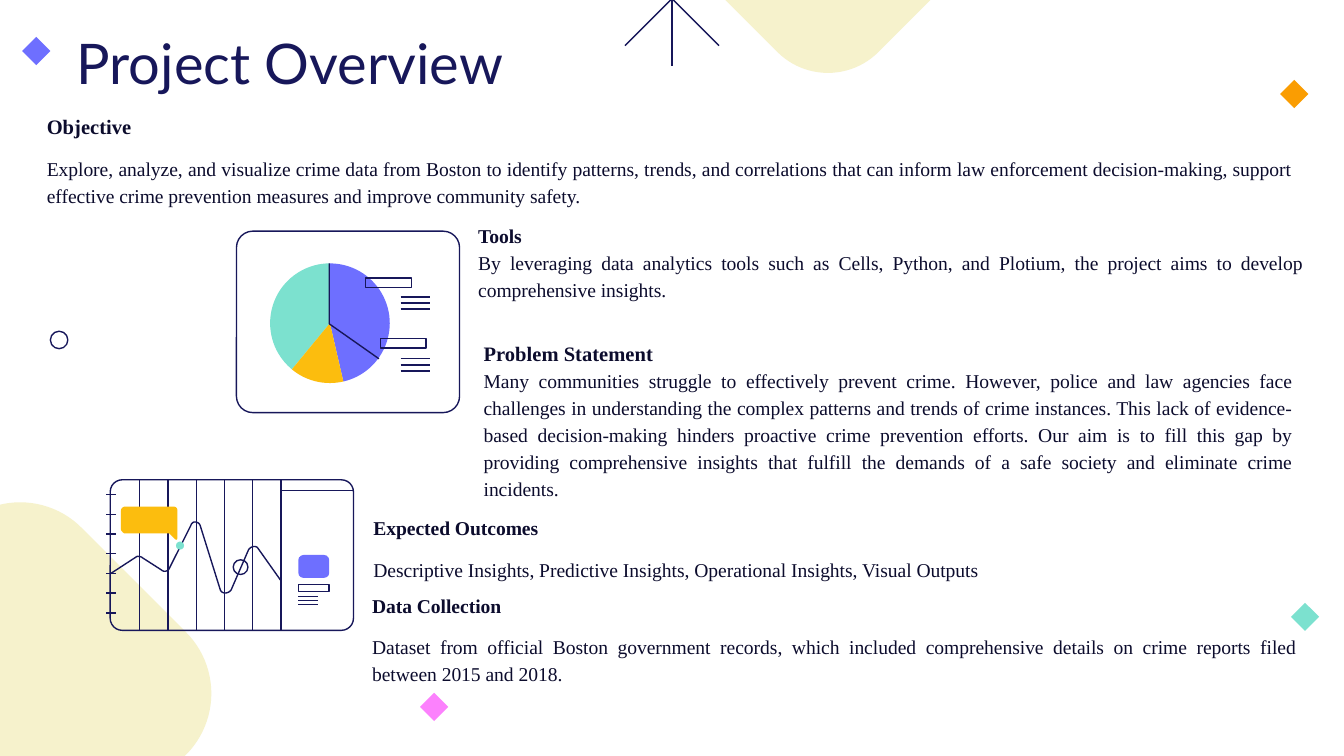
"""Build the Project Overview slide with its text sections and dashboard illustrations."""
from lxml.etree import SubElement
from pptx import Presentation
from pptx.dml.color import RGBColor
from pptx.enum.shapes import MSO_CONNECTOR, MSO_SHAPE
from pptx.enum.text import MSO_ANCHOR, MSO_AUTO_SIZE, PP_ALIGN
from pptx.oxml.ns import qn
from pptx.util import Inches, Pt

NAVY, INK, CREAM = "17175A", "0C0C2D", "F6F2CC"
TEAL, ORANGE, PINK, VIOLET, YELLOW = "7CE1CF", "FA9D02", "FC81FD", "6E6FFF", "FCBD0E"

TITLE = "Project Overview"
SECTIONS = [
    ("Objective",
     "Explore, analyze, and visualize crime data from Boston to identify patterns, trends, and "
     "correlations that can inform law enforcement decision-making, support effective crime "
     "prevention measures and improve community safety.",
     (0.25, 0.72, 9.47, 0.82), 11, 8, PP_ALIGN.JUSTIFY),
    ("Tools",
     "By leveraging data analytics tools such as Cells, Python, and Plotium, the project aims "
     "to develop comprehensive insights.",
     (3.46, 1.54, 6.34, 0.63), 10.5, 0, PP_ALIGN.JUSTIFY),
    ("Problem Statement",
     "Many communities struggle to effectively prevent crime. However, police and law agencies "
     "face challenges in understanding the complex patterns and trends of crime instances. This "
     "lack of evidence-based decision-making hinders proactive crime prevention efforts. Our aim "
     "is to fill this gap by providing comprehensive insights that fulfill the demands of a safe "
     "society and eliminate crime incidents.",
     (3.5, 2.41, 6.22, 1.5), 11, 0, PP_ALIGN.JUSTIFY),
    ("Expected Outcomes",
     "Descriptive Insights, Predictive Insights, Operational Insights, Visual Outputs",
     (2.68, 3.71, 7.7, 0.71), 10.5, 8, PP_ALIGN.LEFT),
    ("Data Collection",
     "Dataset from official Boston government records, which included comprehensive details on "
     "crime reports filed between 2015 and 2018.",
     (2.67, 4.29, 7.08, 0.71), 10.5, 8, PP_ALIGN.JUSTIFY),
]
BLOBS = [(0.15, 5.16, 2.39), (6.16, -0.63, 1.97)]
DIAMONDS = [(9.71, 4.59, TEAL), (9.63, 0.7, ORANGE), (3.23, 5.26, PINK), (0.27, 0.38, VIOLET)]
ARROW = [(5, -0.5, 5, 0.49), (5.35, -0.36, 4.65, 0.34), (5.35, 0.34, 4.65, -0.36)]
PIE_SLICES = [(129.5, 270, TEAL), (270, 77, VIOLET), (77, 129.5, YELLOW)]
LEGENDS = [(2.72, 2.07, 2.21), (2.83, 2.52, 2.67)]
TREND = [(0.82, 4.27), (1.02, 4.14), (1.03, 4.14, 1.05, 4.14, 1.06, 4.15), (1.2, 4.24),
         (1.22, 4.26, 1.25, 4.25, 1.26, 4.23), (1.42, 3.91), (1.43, 3.87, 1.48, 3.88, 1.49, 3.91),
         (1.64, 4.39), (1.65, 4.42, 1.7, 4.42, 1.72, 4.39), (1.85, 4.09),
         (1.87, 4.06, 1.91, 4.06, 1.92, 4.08), (2.09, 4.32)]
CALLOUT = [(1.3, 4.01), (1.26, 3.97), (0.93, 3.97), (0.92, 3.97, 0.9, 3.95, 0.9, 3.94),
           (0.9, 3.8), (0.9, 3.78, 0.92, 3.77, 0.93, 3.77), (1.29, 3.77),
           (1.31, 3.77, 1.32, 3.78, 1.32, 3.8), (1.32, 4), (1.32, 4.02, 1.31, 4.02, 1.3, 4.01)]


def rgb(value):
    return RGBColor.from_string(value)


def paint(shape, fill=None, line=None):
    shape.shadow.inherit = False
    if fill:
        shape.fill.solid()
        shape.fill.fore_color.rgb = rgb(fill)
    else:
        shape.fill.background()
    if line:
        shape.line.color.rgb = rgb(line)
        shape.line.width = Pt(0.75)
    else:
        shape.line.fill.background()
    return shape


def add_preset(slide, preset, box, fill=None, line=None, adjustments=()):
    shape = slide.shapes.add_shape(preset, *map(Inches, box))
    for index, value in enumerate(adjustments):
        shape.adjustments[index] = value
    return paint(shape, fill, line)


def add_centred(slide, preset, x, y, size, **style):
    return add_preset(slide, preset, (x - size / 2, y - size / 2, size, size), **style)


def add_line(slide, *ends):
    line = slide.shapes.add_connector(MSO_CONNECTOR.STRAIGHT, *map(Inches, ends))
    line.line.color.rgb = rgb(NAVY)
    line.line.width = Pt(0.75)
    SubElement(line._element.spPr, qn("a:effectLst"))


def flatten(steps, pieces=8):
    points = [steps[0]]
    for step in steps[1:]:
        if len(step) == 2:
            points.append(step)
            continue
        controls = [points[-1], step[:2], step[2:4], step[4:]]
        for piece in range(1, pieces + 1):
            t = piece / pieces
            weights = ((1 - t) ** 3, 3 * t * (1 - t) ** 2, 3 * t * t * (1 - t), t ** 3)
            points.append(tuple(sum(w * c[axis] for w, c in zip(weights, controls))
                                for axis in (0, 1)))
    return points


def add_outline(slide, steps, close=False, **style):
    points = [(Inches(x), Inches(y)) for x, y in flatten(steps)]
    builder = slide.shapes.build_freeform(*points[0])
    builder.add_line_segments(points[1:], close=close)
    paint(builder.convert_to_shape(), **style)


def add_text(paragraph, text, font, size, color, bold=False):
    run = paragraph.add_run()
    run.text = text
    run.font.name, run.font.size, run.font.bold = font, Pt(size), bold
    run.font.color.rgb = rgb(color)


def set_frame(frame):
    frame.word_wrap = True
    frame.auto_size = MSO_AUTO_SIZE.NONE
    frame.vertical_anchor = MSO_ANCHOR.TOP
    frame.margin_left = frame.margin_right = frame.margin_top = frame.margin_bottom = Inches(0.1)


def add_section(slide, heading, body, box, heading_size, gap, align):
    frame = slide.shapes.add_textbox(*map(Inches, box)).text_frame
    set_frame(frame)
    for paragraph, text, size, bold in ((frame.paragraphs[0], heading, heading_size, True),
                                        (frame.add_paragraph(), body, 10.5, False)):
        paragraph.alignment = align
        paragraph.line_spacing = 1.15
        paragraph.space_after = Pt(gap)
        add_text(paragraph, text, "Times New Roman", size, INK, bold)


def add_decoration(slide):
    for x, y, side in BLOBS:
        add_centred(slide, MSO_SHAPE.ROUNDED_RECTANGLE, x, y, side,
                    fill=CREAM, adjustments=[0.27]).rotation = 45
    for x, y, color in DIAMONDS:
        add_centred(slide, MSO_SHAPE.DIAMOND, x, y, 0.21, fill=color)
    add_centred(slide, MSO_SHAPE.OVAL, 0.44, 2.53, 0.13, line=NAVY)
    for ends in ARROW:
        add_line(slide, *ends)


def add_trend_panel(slide):
    left, top, right, bottom, split = 0.82, 3.57, 2.63, 4.69, 2.09
    add_preset(slide, MSO_SHAPE.ROUNDED_RECTANGLE, (left, top, right - left, bottom - top),
               line=NAVY, adjustments=[0.08])
    add_preset(slide, MSO_SHAPE.RECTANGLE, (2.22, 4.35, 0.23, 0.05), line=NAVY)
    add_preset(slide, MSO_SHAPE.ROUNDED_RECTANGLE, (2.22, 4.13, 0.23, 0.17),
               fill=VIOLET, adjustments=[0.22])
    for row in range(3):
        y = 4.44 + 0.03 * row
        add_line(slide, 2.22, y, 2.37, y)
    for column in range(6):
        x = split - 0.21 * column
        add_line(slide, x, top, x, bottom)
    add_outline(slide, TREND, line=NAVY)
    add_centred(slide, MSO_SHAPE.OVAL, 1.34, 4.06, 0.06, fill=TEAL)
    add_outline(slide, CALLOUT, close=True, fill=YELLOW)
    first_tick, last_tick, ticks = 3.68, 4.56, 7
    for tick in range(ticks):
        y = first_tick + (last_tick - first_tick) * tick / (ticks - 1)
        add_line(slide, 0.79, y, 0.86, y)
    add_centred(slide, MSO_SHAPE.OVAL, 1.79, 4.22, 0.11, line=NAVY)
    add_line(slide, split, 3.65, right, 3.65)


def add_pie_panel(slide):
    add_preset(slide, MSO_SHAPE.ROUNDED_RECTANGLE, (1.76, 1.72, 1.66, 1.35),
               line=NAVY, adjustments=[0.09])
    for start, end, color in PIE_SLICES:
        add_preset(slide, MSO_SHAPE.PIE, (2.01, 1.96, 0.89, 0.89), fill=color,
                   adjustments=[start * 0.6, end * 0.6])
    add_outline(slide, [(2.45, 1.96), (2.45, 2.41), (2.82, 2.67)], line=NAVY)
    for x, y, first_row in LEGENDS:
        add_preset(slide, MSO_SHAPE.RECTANGLE, (x, y, 0.34, 0.07), line=NAVY)
        for row in range(3):
            row_y = first_row + 0.09 * row / 2
            add_line(slide, 2.98, row_y, 3.2, row_y)


def main():
    deck = Presentation()
    deck.slide_width, deck.slide_height = Inches(10), Inches(10 * 9 / 16)
    slide = deck.slides.add_slide(deck.slide_layouts[5])
    add_decoration(slide)
    title = slide.shapes.title
    title.left, title.top, title.width, title.height = map(Inches, (0.47, 0.11, 8.43, 0.63))
    set_frame(title.text_frame)
    heading = title.text_frame.paragraphs[0]
    heading.alignment = PP_ALIGN.LEFT
    add_text(heading, TITLE, "Lato", 30, NAVY)
    for section in SECTIONS:
        add_section(slide, *section)
    add_trend_panel(slide)
    add_pie_panel(slide)
    deck.save("out.pptx")


if __name__ == "__main__":
    main()
